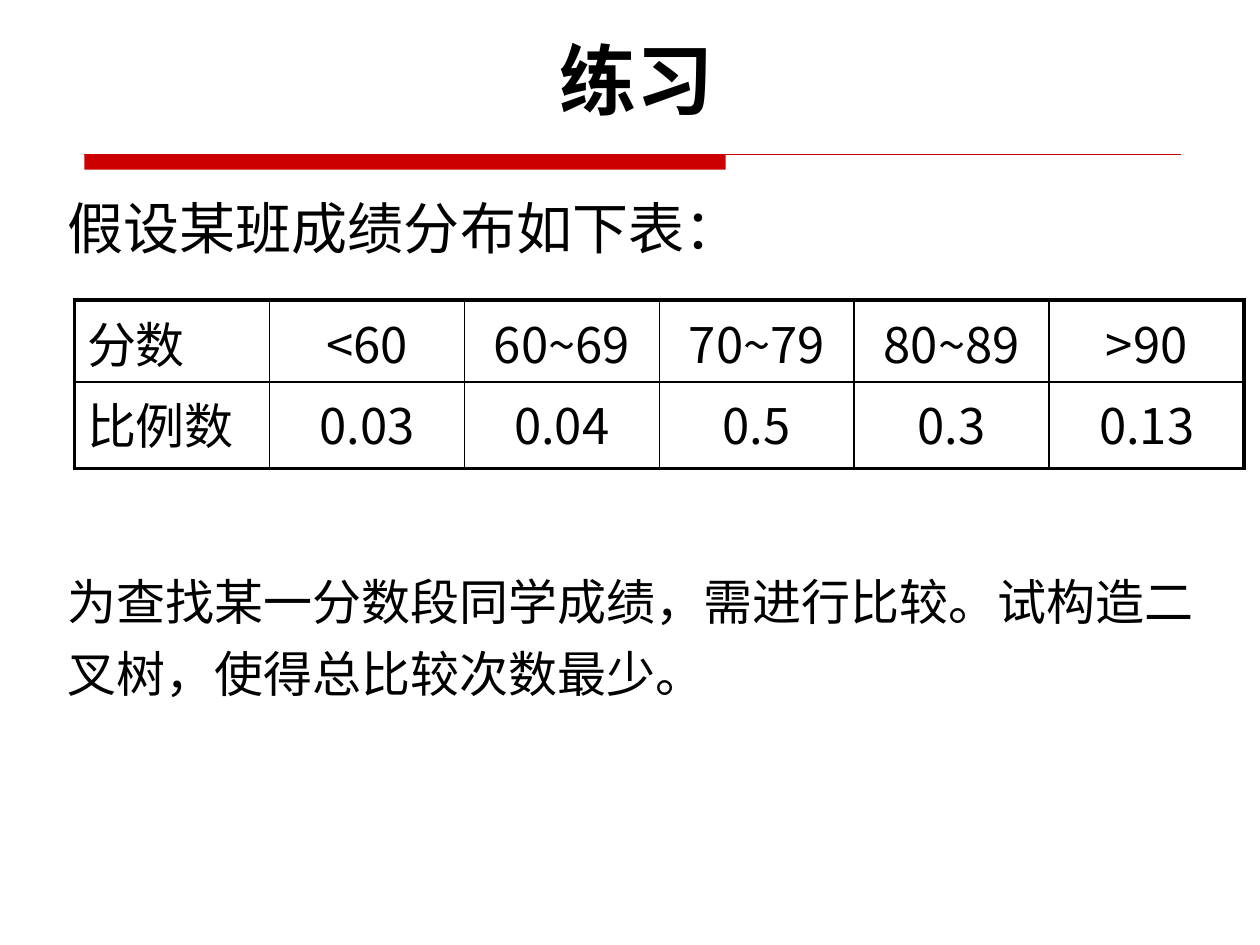
import dataclasses

import lxml.etree
import pptx
import pptx.dml.color
import pptx.enum.shapes
import pptx.enum.text
import pptx.oxml.ns
import pptx.util

Cm = pptx.util.Cm
Pt = pptx.util.Pt
Color = pptx.dml.color.RGBColor
Align = pptx.enum.text.PP_ALIGN
Anchor = pptx.enum.text.MSO_ANCHOR
qn = pptx.oxml.ns.qn


@dataclasses.dataclass(frozen=True)
class Theme:
    ink: str = "000000"
    accent: str = "CC0000"
    body_font: str = "Noto Sans CJK SC"
    title_font: str = "Cabin"
    title_size: float = 44
    lead_size: float = 32
    body_size: float = 28
    outer_border: float = 2.25
    inner_border: float = 1


class Slide:
    """Hold the theme and the current page, and draw each kind of element."""

    def __init__(self, deck, theme):
        self.theme = theme
        self.page = deck.slides.add_slide(deck.slide_layouts[5])

    def fill_text(self, frame, lines, size, font, bold=False, gap=0, **layout):
        for index, line in enumerate(lines):
            para = frame.paragraphs[0] if index == 0 else frame.add_paragraph()
            layout["space_before"] = Pt(gap if index else 0)
            for name, value in layout.items():
                setattr(para, name, value)
            span = para.add_run()
            span.text = line
            for name, value in {"size": Pt(size), "name": font, "bold": bold}.items():
                setattr(span.font, name, value)
            span.font.color.rgb = Color.from_string(self.theme.ink)
            east = lxml.etree.SubElement(span.font._element, qn("a:ea"))
            east.set("typeface", self.theme.body_font)

    def title(self, text, left, top, width, height):
        box = self.page.shapes.title
        place = {"left": left, "top": top, "width": width, "height": height}
        for name, value in place.items():
            setattr(box, name, Cm(value))
        box.text_frame.auto_size = pptx.enum.text.MSO_AUTO_SIZE.NONE
        box.text_frame.vertical_anchor = Anchor.MIDDLE
        self.fill_text(box.text_frame, [text], self.theme.title_size,
                       self.theme.title_font, bold=True, alignment=Align.CENTER)

    def text(self, lines, left, top, width, height, size, wrap=True, **layout):
        box = self.page.shapes.add_textbox(Cm(left), Cm(top), Cm(width), Cm(height))
        box.text_frame.word_wrap = wrap
        self.fill_text(box.text_frame, lines, size, self.theme.body_font, **layout)

    def bar(self, left, top, width, height):
        shape = self.page.shapes.add_shape(
            pptx.enum.shapes.MSO_SHAPE.RECTANGLE,
            Cm(left), Cm(top), Cm(width), Cm(height))
        shape.shadow.inherit = False
        shape.fill.solid()
        shape.fill.fore_color.rgb = Color.from_string(self.theme.accent)
        shape.line.fill.background()

    def rule(self, left, top, width):
        line = self.page.shapes.add_connector(
            pptx.enum.shapes.MSO_CONNECTOR.STRAIGHT,
            Cm(left), Cm(top), Cm(left + width), Cm(top))
        line.line.color.rgb = Color.from_string(self.theme.accent)
        line.line.width = Pt(0.75)
        lxml.etree.SubElement(line._element.spPr, qn("a:effectLst"))

    def border(self, cell, side, weight):
        edge = lxml.etree.SubElement(cell._tc.get_or_add_tcPr(), qn("a:ln" + side))
        edge.set("w", str(int(Pt(weight))))
        fill = lxml.etree.SubElement(edge, qn("a:solidFill"))
        lxml.etree.SubElement(fill, qn("a:srgbClr")).set("val", self.theme.ink)

    def table(self, rows, left, top, column_width, row_heights):
        last_row, last_column = len(rows) - 1, len(rows[0]) - 1
        table = self.page.shapes.add_table(
            len(rows), len(rows[0]), Cm(left), Cm(top),
            Cm(column_width * len(rows[0])), Cm(sum(row_heights))).table
        table.first_row = table.horz_banding = False
        for column in table.columns:
            column.width = Cm(column_width)
        for r, (values, height) in enumerate(zip(rows, row_heights)):
            table.rows[r].height = Cm(height)
            for c, value in enumerate(values):
                cell = table.cell(r, c)
                outer = {"L": c == 0, "R": c == last_column,
                         "T": r == 0, "B": r == last_row}
                for side, is_outer in outer.items():
                    self.border(cell, side, self.theme.outer_border if is_outer
                                else self.theme.inner_border)
                cell.fill.background()
                self.fill_text(cell.text_frame, [value], self.theme.body_size,
                               self.theme.body_font,
                               alignment=Align.CENTER if c else Align.LEFT)


def main():
    deck = pptx.Presentation()
    deck.slide_width, deck.slide_height = Cm(25.4), Cm(19.05)
    theme = Theme()
    slide = Slide(deck, theme)
    slide.title("练习", 1.09, 0.53, 23.5, 2.13)
    slide.bar(1.7, 3.12, 12.93, 0.3)
    slide.rule(1.7, 3.12, 22.1)
    slide.text(["假设某班成绩分布如下表："], 1.12, 3.5, 14.25, 1.73,
               theme.lead_size, wrap=False, line_spacing=1.2)
    slide.table([["分数", "<60", "60~69", "70~79", "80~89", ">90"],
                 ["比例数", "0.03", "0.04", "0.5", "0.3", "0.13"]],
                1.5, 6.05, 3.93, [1.65, 1.75])
    slide.text(["为查找某一分数段同学成绩，需进行比较。试构造二",
                "叉树，使得总比较次数最少。"],
               1.12, 11.4, 23.6, 3.23, theme.body_size, gap=7.5)
    deck.save("out.pptx")


if __name__ == "__main__":
    main()
